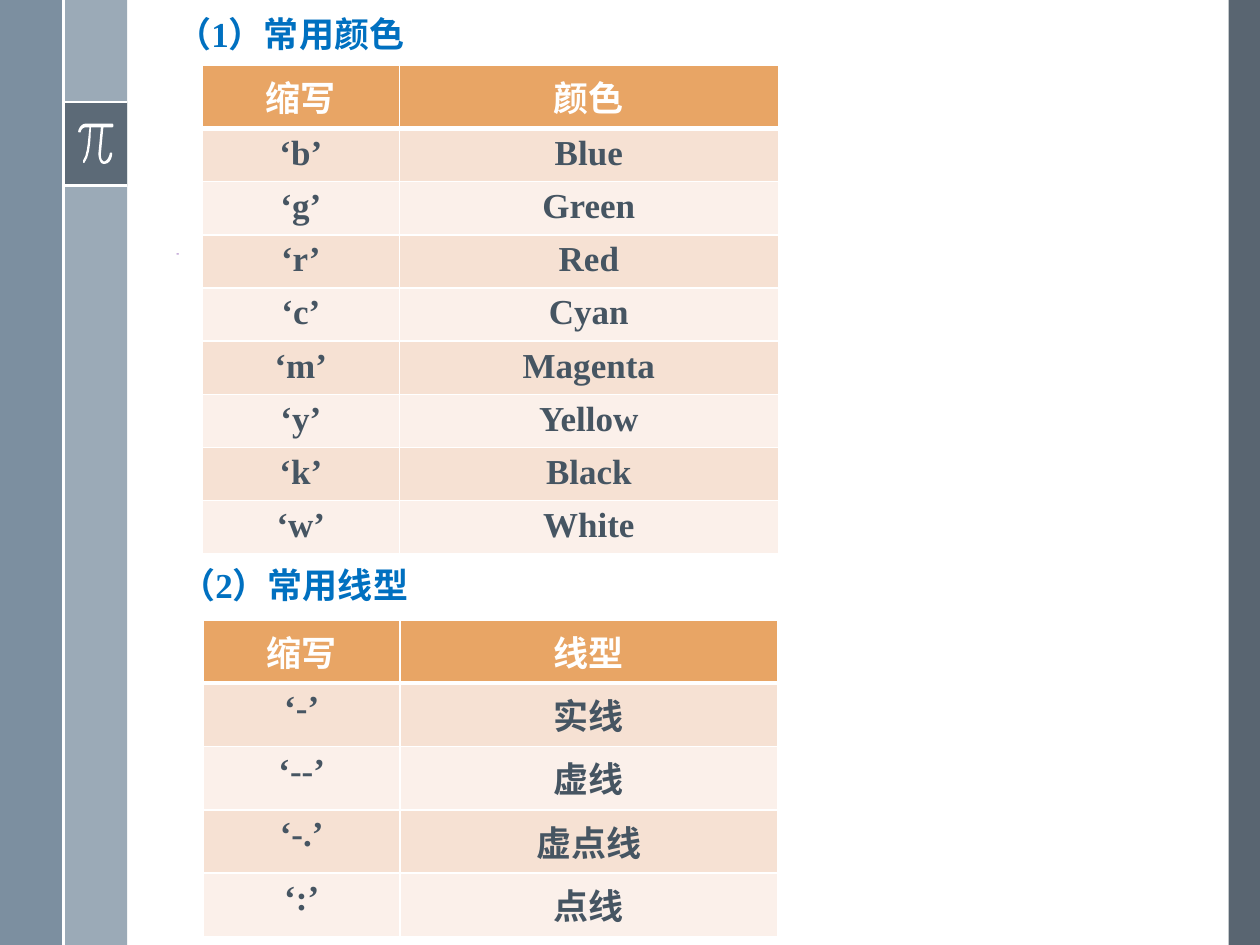
from dataclasses import dataclass

from lxml.etree import SubElement
from pptx import Presentation
from pptx.dml.color import RGBColor
from pptx.enum.shapes import MSO_CONNECTOR, MSO_SHAPE
from pptx.enum.text import MSO_ANCHOR, PP_ALIGN
from pptx.oxml import parse_xml
from pptx.oxml.ns import nsdecls, qn
from pptx.util import Pt


@dataclass(frozen=True)
class Theme:
    white: str = "FFFFFF"
    slate: str = "475562"
    edge: str = "6A8093"
    band: str = "9BAAB7"
    heading: str = "0070C0"
    dash: str = "7030A0"
    table_text: str = "465562"
    table_header: str = "E8A565"
    table_rows: tuple = ("F6E1D3", "FBF0EA")
    latin: str = "Times New Roman"
    chinese: str = "Noto Sans CJK SC"
    text_size: float = 20
    dash_size: float = 5
    rule: float = 1.5
    border: float = 1
    header_border: float = 3


THEME = Theme()

COLORS = [("缩写", "颜色"), ("‘b’", "Blue"), ("‘g’", "Green"), ("‘r’", "Red"),
          ("‘c’", "Cyan"), ("‘m’", "Magenta"), ("‘y’", "Yellow"),
          ("‘k’", "Black"), ("‘w’", "White")]
LINE_STYLES = [("缩写", "线型"), ("‘-’", "实线"), ("‘--’", "虚线"),
               ("‘-.’", "虚点线"), ("‘:’", "点线")]

# Pi outline in a 28 x 32 grid: one point is a line, three are a Bezier curve
PI_START = (27, 0)
PI_SEGMENTS = [
    [(6, 0)], [(2, 0), (0, 5), (0, 6)], [(0, 6.5), (0, 7), (1, 7)],
    [(2, 7), (2, 7), (2, 6.5)], [(2, 6), (3, 3), (6, 3)], [(9, 3)],
    [(8, 7), (8, 24), (4, 29)], [(4, 30), (4, 30), (4, 31)],
    [(4, 31), (4.5, 31.5), (5, 31)], [(10, 25), (10, 7), (10, 3)],
    [(18, 3)], [(16, 24)], [(16, 24), (16, 28), (18, 31)],
    [(19, 32), (20, 32), (21, 32)], [(26, 32), (27, 25), (27, 24)],
    [(27, 23.5), (27, 23), (26, 23)], [(26, 23), (25, 23), (25, 24)],
    [(25, 24), (24, 29), (21, 30)], [(20, 30), (20, 30), (19, 29)],
    [(18, 28), (18, 25), (18, 24)], [(20, 3)], [(27, 3)],
    [(27.5, 3), (28, 2), (28, 2)], [(28, 1), (27.5, 0), (27, 0)],
]


def color(value):
    return RGBColor.from_string(value)


def set_font(paragraph, text_color, size, latin=THEME.latin, bold=True):
    font = paragraph.font
    font.name, font.size, font.bold = latin, Pt(size), bold
    font.color.rgb = color(text_color)
    if any(character >= "一" for character in paragraph.text):
        for run in paragraph.runs:
            run.font.name = latin
            east_asian = SubElement(run.font._element, qn("a:ea"))
            east_asian.set("typeface", THEME.chinese)


def fill_shape(shape, fill, opacity=100):
    shape.shadow.inherit = False
    shape.fill.solid()
    shape.fill.fore_color.rgb = color(fill)
    shape.line.fill.background()
    if opacity < 100:
        choice = shape._element.spPr.find(qn("a:solidFill"))[0]
        SubElement(choice, qn("a:alpha")).set("val", str(opacity * 1000))


def add_bar(slide, left, top, width, height, fill, opacity=100):
    shape = slide.shapes.add_shape(MSO_SHAPE.RECTANGLE, Pt(left), Pt(top), Pt(width), Pt(height))
    fill_shape(shape, fill, opacity)


def add_rule(slide, x1, y1, x2, y2):
    rule = slide.shapes.add_connector(MSO_CONNECTOR.STRAIGHT, Pt(x1), Pt(y1), Pt(x2), Pt(y2))
    rule.line.color.rgb = color(THEME.white)
    rule.line.width = Pt(THEME.rule)
    SubElement(rule._element.spPr, qn("a:effectLst"))


def add_pi(slide, left, top, unit):
    points, start = [], PI_START
    for segment in PI_SEGMENTS:
        if len(segment) == 1:
            points.append(segment[0])
        else:
            first, second, end = segment
            for step in range(1, 7):
                t = step / 6
                points.append(tuple(
                    (1 - t) ** 3 * a + 3 * (1 - t) ** 2 * t * b + 3 * (1 - t) * t * t * c + t ** 3 * d
                    for a, b, c, d in zip(start, first, second, end)))
        start = segment[-1]
    builder = slide.shapes.build_freeform(PI_START[0] * 100, PI_START[1] * 100, scale=Pt(unit) / 100)
    builder.add_line_segments([(x * 100, y * 100) for x, y in points])
    fill_shape(builder.convert_to_shape(Pt(left), Pt(top)), THEME.white)


def add_side_bands(slide, width, height):
    band_left, band_width = 36.7, 36
    badge_top, badge_height = 58.3, 47.8
    add_bar(slide, width - 18, 0, 18, height, THEME.slate, 90)
    add_bar(slide, band_left, 0, band_width, height, THEME.band)
    add_bar(slide, 0, 0, 36, height, THEME.edge, 88)
    # Badge with the pi sign
    add_bar(slide, band_left, badge_top, band_width, badge_height, THEME.slate, 75)
    for y in (badge_top, badge_top + badge_height):
        add_rule(slide, band_left, y, band_left + band_width, y)
    add_pi(slide, band_left + 8, badge_top + 12.3, 0.72)
    add_rule(slide, band_left - 0.4, 0, band_left - 0.4, height)


def add_text(slide, left, top, width, height, text, text_color, size, bold=True):
    frame = slide.shapes.add_textbox(Pt(left), Pt(top), Pt(width), Pt(height)).text_frame
    frame.word_wrap = True
    frame.margin_left = frame.margin_right = frame.margin_top = frame.margin_bottom = 0
    frame.text = text
    set_font(frame.paragraphs[0], text_color, size, bold=bold)


def set_borders(cell, top, bottom):
    properties = cell._tc.get_or_add_tcPr()
    widths = {"lnL": THEME.border, "lnR": THEME.border, "lnT": top, "lnB": bottom}
    for index, (side, width) in enumerate(widths.items()):
        properties.insert(index, parse_xml(
            f'<a:{side} {nsdecls("a")} w="{Pt(width)}"><a:solidFill>'
            f'<a:srgbClr val="{THEME.white}"/></a:solidFill></a:{side}>'))


def add_code_table(slide, left, top, column_widths, header_height, row_height, rows):
    height = header_height + row_height * (len(rows) - 1)
    table = slide.shapes.add_table(len(rows), len(column_widths), Pt(left), Pt(top),
                                   Pt(sum(column_widths)), Pt(height)).table
    for column, width in zip(table.columns, column_widths):
        column.width = Pt(width)
    for row_index, texts in enumerate(rows):
        header = row_index == 0
        table.rows[row_index].height = Pt(header_height if header else row_height)
        for column_index, text in enumerate(texts):
            cell = table.cell(row_index, column_index)
            cell.text = text
            cell.margin_top = cell.margin_bottom = Pt(3.2)
            cell.vertical_anchor = MSO_ANCHOR.TOP
            cell.fill.solid()
            cell.fill.fore_color.rgb = color(
                THEME.table_header if header else THEME.table_rows[(row_index - 1) % 2])
            set_borders(cell, THEME.header_border if row_index == 1 else THEME.border,
                        THEME.header_border if header else THEME.border)
            paragraph = cell.text_frame.paragraphs[0]
            paragraph.alignment = PP_ALIGN.CENTER
            set_font(paragraph, THEME.white if header else THEME.table_text,
                     THEME.text_size, THEME.chinese if header else THEME.latin)


def main():
    presentation = Presentation()
    presentation.slide_width, presentation.slide_height = Pt(720), Pt(540)
    slide = presentation.slides.add_slide(presentation.slide_layouts[6])
    add_side_bands(slide, 720, 540)

    # Common colours
    add_text(slide, 100.8, 7.3, 280, 30, "（1）常用颜色", THEME.heading, THEME.text_size)
    add_code_table(slide, 115.6, 37.4, (112.6, 216.6), 36, 29.4, COLORS)
    add_text(slide, 100.8, 141.6, 10, 6, "-", THEME.dash, THEME.dash_size, bold=False)

    # Common line styles
    add_text(slide, 103, 322, 309, 30, "（2）常用线型", THEME.heading, THEME.text_size)
    add_code_table(slide, 116.2, 354.4, (112.4, 216), 36, 36.2, LINE_STYLES)
    presentation.save("out.pptx")


if __name__ == "__main__":
    main()
